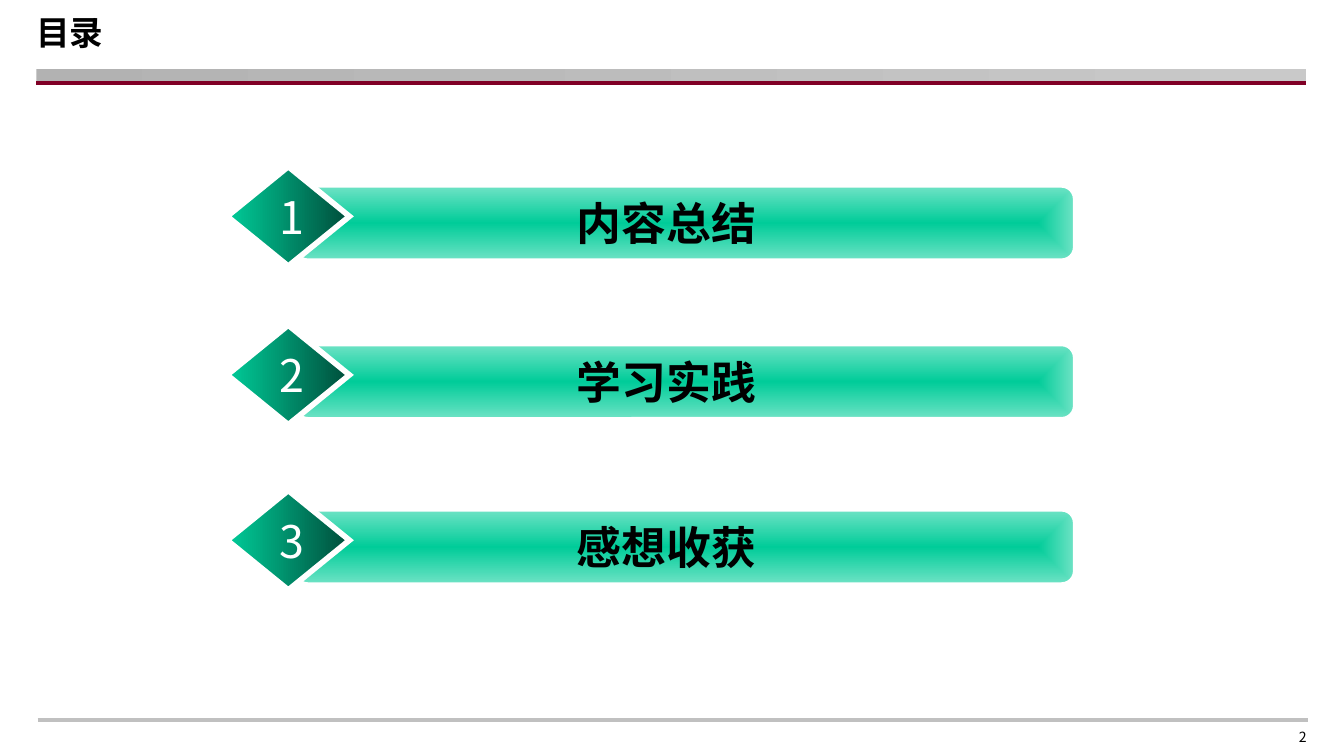
from lxml.etree import SubElement
from pptx import Presentation
from pptx.dml.color import RGBColor
from pptx.enum.shapes import MSO_CONNECTOR, MSO_SHAPE
from pptx.enum.text import MSO_ANCHOR, PP_ALIGN
from pptx.oxml.ns import qn
from pptx.util import Inches, Pt

TITLE = "目录"
PAGE_NUMBER = "2"
AGENDA = [("内容总结", 1.24), ("学习实践", 2.42), ("感想收获", 3.65)]
FONT = "Noto Sans CJK SC"
COLORS = {
    "black": "000000",
    "white": "FFFFFF",
    "band_start": "B2B2B2",
    "band_end": "C9C9C9",
    "header_rule": "800026",
    "footer_rule": "C0C0C0",
    "green": "00CC99",
    "light_green": "6CE2C4",
    "dark_green": "004D3A",
}


def color(name):
    return RGBColor.from_string(COLORS[name])


def add_gradient_shape(shapes, kind, box, start, end, outline=0, centered=False):
    shape = shapes.add_shape(kind, *map(Inches, box))
    shape.shadow.inherit = False
    shape.fill.gradient()
    shape.fill.gradient_angle = 0
    for stop, name, position in zip(shape.fill.gradient_stops, (start, end), (0, 1)):
        stop.color.rgb = color(name)
        stop.position = position
    if centered:
        gradient = shape._element.spPr.find(qn("a:gradFill"))
        gradient.remove(gradient.find(qn("a:lin")))
        center = SubElement(gradient, qn("a:path"), {"path": "shape"})
        sides = dict.fromkeys("ltrb", "50000")
        SubElement(center, qn("a:fillToRect"), sides)
    if outline:
        shape.line.color.rgb = color("white")
        shape.line.width = Pt(outline)
        outline_element = shape._element.spPr.find(qn("a:ln"))
        SubElement(outline_element, qn("a:miter"), {"lim": "800000"})
    else:
        shape.line.fill.background()
    return shape


def add_text(shapes, text, box, size, name="black", bold=False,
             align=PP_ALIGN.LEFT, anchor=MSO_ANCHOR.TOP):
    frame = shapes.add_textbox(*map(Inches, box)).text_frame
    frame.word_wrap = True
    frame.vertical_anchor = anchor
    paragraph = frame.paragraphs[0]
    paragraph.text = text
    paragraph.alignment = align
    font = paragraph.font
    font.size = Pt(size)
    font.bold = bold
    font.color.rgb = color(name)
    font.name = FONT
    SubElement(font._element, qn("a:ea"), {"typeface": FONT})


def add_rule(shapes, left, top, width, name):
    rule = shapes.add_connector(MSO_CONNECTOR.STRAIGHT, Inches(left), Inches(top),
                                Inches(left + width), Inches(top))
    rule.line.color.rgb = color(name)
    rule.line.width = Pt(2.25)
    SubElement(rule._element.spPr, qn("a:effectLst"))


def add_agenda_item(slide, number, label, top):
    shapes = slide.shapes.add_group_shape().shapes
    bar = add_gradient_shape(shapes, MSO_SHAPE.ROUNDED_RECTANGLE,
                             (2.2, top + 0.15, 5.79, 0.54),
                             "green", "light_green", 1, centered=True)
    bar.adjustments[0] = 0.17
    add_gradient_shape(shapes, MSO_SHAPE.DIAMOND, (1.69, top, 0.91, 0.74),
                       "green", "dark_green", 3)
    add_text(shapes, str(number), (1.89, top + 0.12, 0.56, 0.51), 24, "white",
             align=PP_ALIGN.CENTER)
    add_text(shapes, label, (2.96, top + 0.17, 4, 0.51), 24, bold=True,
             align=PP_ALIGN.CENTER)


def main():
    presentation = Presentation()
    presentation.slide_width = Inches(10)
    presentation.slide_height = presentation.slide_width * 9 // 16
    slide = presentation.slides.add_slide(presentation.slide_layouts[6])
    shapes = slide.shapes

    add_gradient_shape(shapes, MSO_SHAPE.RECTANGLE, (0.27, 0.51, 9.45, 0.11),
                       "band_start", "band_end")
    add_rule(shapes, 0.27, 0.62, 9.45, "header_rule")
    add_rule(shapes, 0.28, 5.36, 9.45, "footer_rule")
    add_text(shapes, PAGE_NUMBER, (7.49, 5.4, 2.33, 0.16), 7.5,
             align=PP_ALIGN.RIGHT, anchor=MSO_ANCHOR.MIDDLE)
    add_text(shapes, TITLE, (0.17, 0.04, 3.62, 0.4), 18, bold=True)
    for number, (label, top) in enumerate(AGENDA, start=1):
        add_agenda_item(slide, number, label, top)

    presentation.save("out.pptx")


if __name__ == "__main__":
    main()
